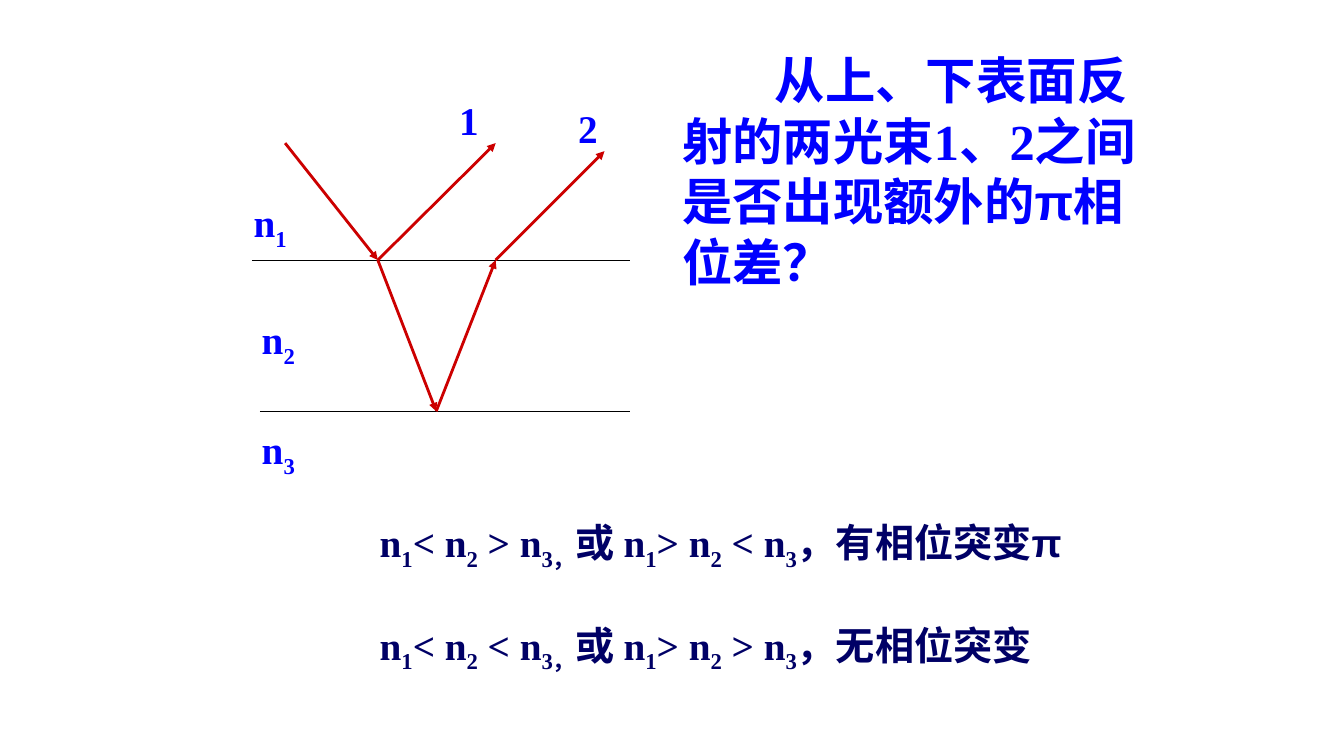
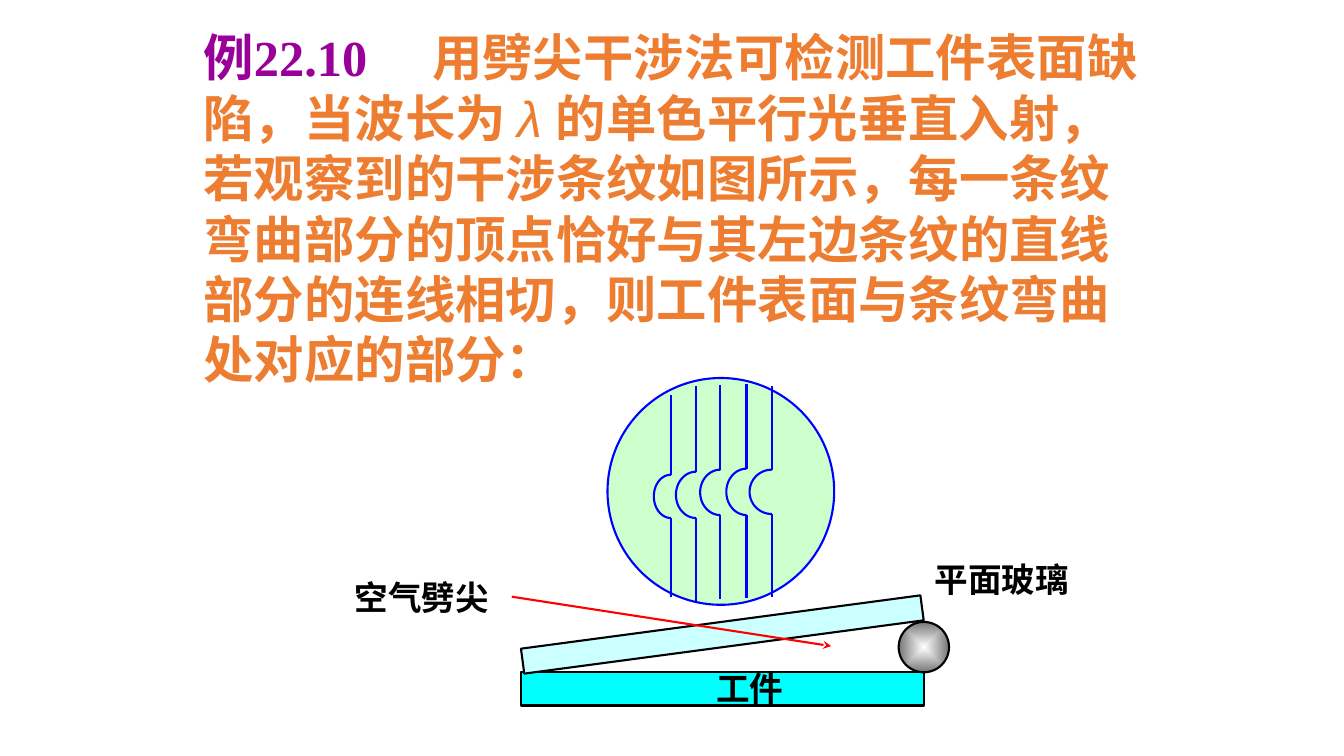
import dataclasses
import math

import pptx
import pptx.dml.color
import pptx.enum.shapes
import pptx.enum.text
import pptx.oxml
import pptx.oxml.ns
import pptx.util

EMU_PER_PX = 9144  # 100 px to the inch
SHAPE = pptx.enum.shapes.MSO_SHAPE
qn = pptx.oxml.ns.qn


@dataclasses.dataclass(frozen=True)
class Theme:
    serif: str = "Times New Roman"
    sans: str = "Arial"
    school: str = "TeX Gyre Schola"
    title_size: int = 36
    formula_size: int = 28
    label_size: int = 24
    black: str = "000000"
    blue: str = "0000FF"
    navy: str = "000066"
    purple: str = "990099"
    orange: str = "ED7D31"
    ray: str = "CC0000"
    pointer: str = "FF0000"
    workpiece: str = "00FFFF"
    glass: str = "CCFFFF"
    lens: str = "CCFFCC"
    roller_centre: str = "FFFFFF"
    roller_edge: str = "767676"
    thin: float = 0.75
    outline: float = 1.5
    ray_width: float = 2


THEME = Theme()


@dataclasses.dataclass(frozen=True)
class Style:
    font: str
    size: int
    color: str
    bold: bool = True
    italic: bool = False


@dataclasses.dataclass(frozen=True)
class Box:
    left: int
    top: int
    width: int
    height: int

    def point(self, x, y):
        return self.left + x, self.top + y

    def inside(self, x, y, width, height):
        return Box(self.left + x, self.top + y, width, height)

    def emu(self):
        return [px(n) for n in (self.left, self.top, self.width, self.height)]


def px(length):
    return pptx.util.Emu(round(length * EMU_PER_PX))


def rgb(color):
    return pptx.dml.color.RGBColor.from_string(color)


def append_xml(parent, tag, inner="", **attributes):
    element = pptx.oxml.parse_xml(f"<a:{tag} {pptx.oxml.ns.nsdecls('a')}>{inner}</a:{tag}>")
    for name, value in attributes.items():
        element.set(name, str(value))
    parent.append(element)


def write(para, spans):
    """Add (text, style) spans; text between two bars is subscript."""
    for text, style in spans:
        for index, piece in enumerate(text.split("|")):
            if not piece:
                continue
            span = para.add_run()
            span.text = piece
            span.font.name = style.font
            span.font.size = pptx.util.Pt(style.size)
            span.font.bold = style.bold
            span.font.italic = style.italic
            span.font.color.rgb = rgb(style.color)
            if index % 2:
                span._r.get_or_add_rPr().set("baseline", "-25000")


def add_text(shapes, box, *spans):
    frame = shapes.add_textbox(*box.emu()).text_frame
    frame.word_wrap = True
    write(frame.paragraphs[0], spans)


def place_title(page, box, *spans):
    title = page.shapes.title
    title.left, title.top, title.width, title.height = box.emu()
    frame = title.text_frame
    frame.word_wrap = True
    frame.auto_size = pptx.enum.text.MSO_AUTO_SIZE.NONE
    frame.vertical_anchor = pptx.enum.text.MSO_ANCHOR.TOP
    para = frame.paragraphs[0]
    para.alignment = pptx.enum.text.PP_ALIGN.LEFT
    write(para, spans)
    return para


def outline(shape, color, width):
    shape.line.color.rgb = rgb(color)
    shape.line.width = pptx.util.Pt(width)


def add_line(shapes, start, end, color, width, arrow=None):
    connector = shapes.add_connector(
        pptx.enum.shapes.MSO_CONNECTOR.STRAIGHT, *map(px, start + end))
    outline(connector, color, width)
    properties = connector._element.spPr
    if arrow:
        append_xml(properties.find(qn("a:ln")), "tailEnd", type=arrow)
    append_xml(properties, "effectLst")


def add_solid(shapes, preset, box, fill, line=THEME.black):
    shape = shapes.add_shape(preset, *box.emu())
    shape.shadow.inherit = False
    shape.fill.solid()
    shape.fill.fore_color.rgb = rgb(fill)
    outline(shape, line, THEME.outline)
    return shape


def shade_from_centre(shape, centre, edge):
    shape.fill.gradient()
    for stop, color in zip(shape.fill.gradient_stops, (centre, edge)):
        stop.color.rgb = rgb(color)
    gradient = shape._element.spPr.find(qn("a:gradFill"))
    gradient.remove(gradient.find(qn("a:lin")))
    middle = '<a:fillToRect l="50000" t="50000" r="50000" b="50000"/>'
    append_xml(gradient, "path", middle, path="rect")


def draw_rays(shapes, box):
    upper, lower = 167, 317
    for left, y in ((8, upper), (16, lower)):
        add_line(shapes, box.point(left, y), box.point(box.width, y),
                 THEME.black, THEME.thin)

    source, entry, mirror, leaving = (41, 51), (133, upper), (191, lower), (250, upper)
    first_beam, second_beam = (250, 51), (358, 59)
    for start, end in ((source, entry), (entry, first_beam), (entry, mirror),
                       (mirror, leaving), (leaving, second_beam)):
        add_line(shapes, box.point(*start), box.point(*end),
                 THEME.ray, THEME.ray_width, "triangle")

    style = Style(THEME.serif, THEME.formula_size, THEME.blue)
    for text, x, y in (("n|1|", 0, 101), ("n|2|", 8, 217), ("n|3|", 8, 326),
                       ("1", 204, 0), ("2", 322, 8)):
        add_text(shapes, box.inside(x, y, 66, 63), (text, style))


def draw_conclusions(shapes, box):
    style = Style(THEME.serif, THEME.formula_size, THEME.navy)
    pi = dataclasses.replace(style, font=THEME.sans)
    conclusions = (
        [("n|1|< n|2| > n|3，|或 n|1|> n|2| < n|3|，有相位突变", style), ("π", pi)],
        [("n|1|< n|2| < n|3，|或 n|1|> n|2| > n|3|，无相位突变", style)],
    )
    for row, spans in enumerate(conclusions):
        add_text(shapes, box.inside(0, row * 102, box.width, 110), *spans)


def draw_fringe(shapes, box, x, top, bend_top, bend_bottom, bottom, bulge):
    """Draw two straight parts joined by a half ellipse that bulges left."""
    middle, radius = (bend_top + bend_bottom) / 2, (bend_bottom - bend_top) / 2
    steps = 32
    angles = [math.pi * step / steps for step in range(steps + 1)]
    points = [tuple(map(px, box.point(x - bulge * math.sin(angle),
                                      middle - radius * math.cos(angle))))
              for angle in angles]
    builder = shapes.build_freeform(*points[0])
    builder.add_line_segments(points[1:], close=False)
    bend = builder.convert_to_shape()
    bend.shadow.inherit = False
    bend.fill.background()
    outline(bend, THEME.blue, THEME.outline)
    for start, end in ((bend_top, top), (bend_bottom, bottom)):
        add_line(shapes, box.point(x, start), box.point(x, end),
                 THEME.blue, THEME.outline)


def draw_lens(shapes, box):
    add_solid(shapes, SHAPE.OVAL, box, THEME.lens, THEME.blue)
    for fringe in ((63, 17, 96, 139, 217, 17), (88, 8, 93, 139, 221, 20),
                   (112, 7, 91, 136, 219, 20), (138, 6, 90, 136, 218, 20),
                   (163, 8, 91, 135, 217, 22)):
        draw_fringe(shapes, box, *fringe)


def draw_wedge(shapes, box):
    add_solid(shapes, SHAPE.RECTANGLE, box.inside(175, 292, 400, 33), THEME.workpiece)
    glass = add_solid(shapes, SHAPE.RECTANGLE, box.inside(175, 242, 400, 25), THEME.glass)
    glass.rotation = -7.6
    roller = add_solid(shapes, SHAPE.OVAL, box.inside(550, 242, 50, 50), THEME.roller_edge)
    shade_from_centre(roller, THEME.roller_centre, THEME.roller_edge)
    add_line(shapes, box.point(166, 217), box.point(483, 266),
             THEME.pointer, THEME.outline, "stealth")
    style = Style(THEME.school, THEME.label_size, THEME.black)
    for text, x, y, width in (("空气劈尖", 0, 192, 160), ("工件", 359, 283, 100),
                              ("平面玻璃", 576, 175, 160)):
        add_text(shapes, box.inside(x, y, width, 50), (text, style))
    draw_lens(shapes, box.inside(261, 0, 225, 225))


def build_phase_page(page):
    style = Style(THEME.serif, THEME.title_size, THEME.blue)
    para = place_title(
        page, Box(667, 44, 480, 250),
        ("从上、下表面反射的两光束1、2之间是否出现额外的", style),
        ("π", dataclasses.replace(style, font=THEME.sans)),
        ("相位差？", style))
    para._p.get_or_add_pPr().set("indent", str(px(92)))
    draw_rays(page.shapes, Box(242, 91, 383, 389))
    draw_conclusions(page.shapes, Box(367, 509, 709, 212))


def build_wedge_page(page):
    number = Style(THEME.serif, THEME.title_size, THEME.purple)
    body = Style(THEME.school, THEME.title_size, THEME.orange)
    para = place_title(
        page, Box(192, 21, 958, 370),
        ("例", dataclasses.replace(number, font=THEME.sans)),
        ("22.10\t", number),
        ("用劈尖干涉法可检测工件表面缺陷，当波长为 ", body),
        ("λ ", dataclasses.replace(body, font=THEME.sans, bold=False, italic=True)),
        ("的单色平行光垂直入射，若观察到的干涉条纹如图所示，每一条纹弯曲部分的顶点"
         "恰好与其左边条纹的直线部分的连线相切，则工件表面与条纹弯曲处对应的部分：", body))
    append_xml(para._p.get_or_add_pPr(), "tabLst",
               f'<a:tab pos="{px(227)}" algn="l"/>')
    draw_wedge(page.shapes.add_group_shape().shapes, Box(342, 375, 736, 333))


def main():
    deck = pptx.Presentation()
    deck.slide_width, deck.slide_height = px(1334), px(750)
    title_only = deck.slide_layouts[5]
    for build_page in (build_phase_page, build_wedge_page):
        build_page(deck.slides.add_slide(title_only))
    deck.save("out.pptx")


if __name__ == "__main__":
    main()
